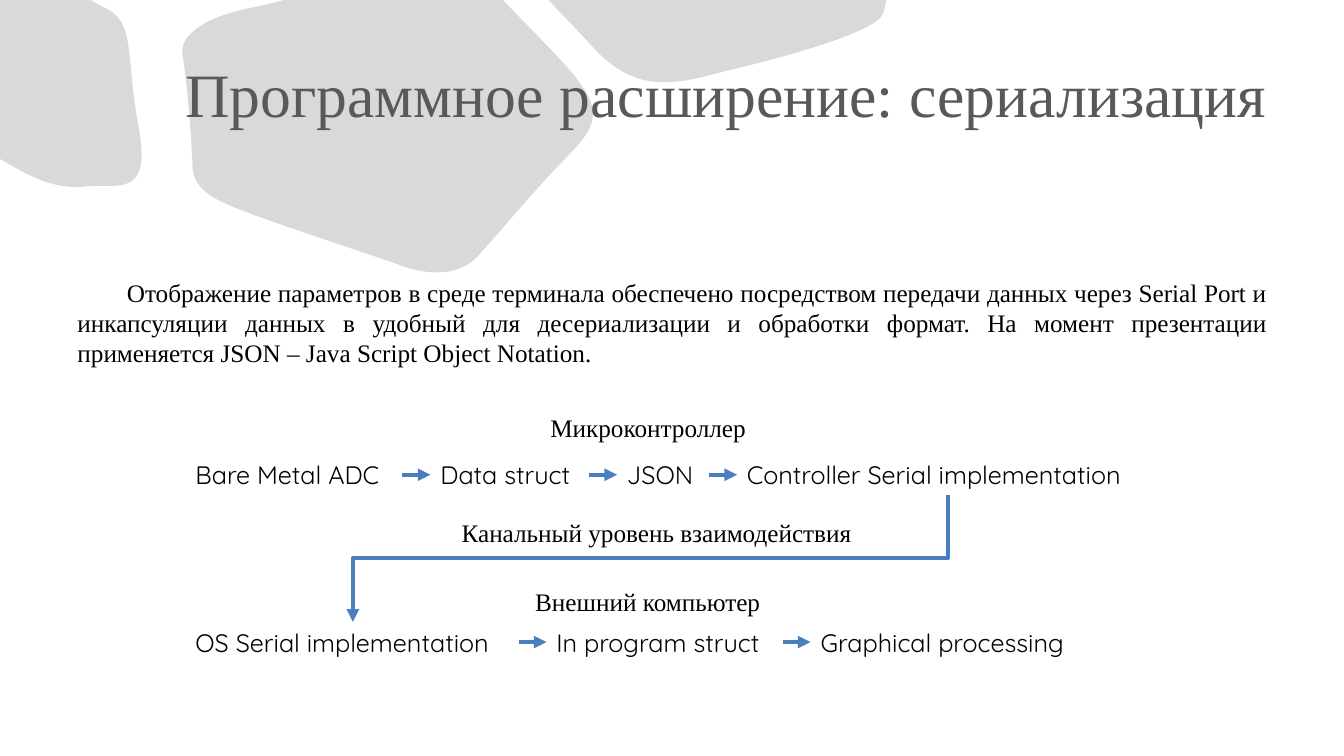
from itertools import pairwise
from lxml import etree
from pptx import Presentation
from pptx import util as u
from pptx.dml.color import RGBColor
from pptx.enum import shapes, text
from pptx.oxml.ns import qn

deck = Presentation()
deck.slide_width, deck.slide_height = u.Inches(13.33), u.Inches(7.5)
slide = deck.slides.add_slide(deck.slide_layouts[6])
hue = RGBColor.from_string


def write(words, x, y, w, h=0.4, font="Times New Roman", size=18, color="000000",
          align=text.PP_ALIGN.LEFT, anchor=text.MSO_ANCHOR.TOP, wrap=False, indent=0):
    box = slide.shapes.add_textbox(*map(u.Inches, (x, y, w, h)))
    frame = box.text_frame
    frame.word_wrap = wrap
    frame.vertical_anchor = anchor
    para = frame.paragraphs[0]
    para.alignment = align
    if indent:
        para._p.get_or_add_pPr().set("indent", str(u.Inches(indent)))
    run = para.add_run()
    run.text = words
    run.font.name, run.font.size = font, u.Pt(size)
    run.font.color.rgb = hue(color)
    return box


def link(kind, x1, y1, x2, y2):
    line = slide.shapes.add_connector(kind, *map(u.Inches, (x1, y1, x2, y2)))
    line.line.color.rgb = hue("4B7EBC")
    line.line.width = u.Pt(3)
    etree.SubElement(line.line._get_or_add_ln(), qn("a:tailEnd"), type="triangle")
    etree.SubElement(line._element.spPr, qn("a:effectLst"))
    return line


stones = [
    [(5.44, 0), (5.57, 0.14, 5.73, 0.3, 5.91, 0.5), (6.37, 0.98, 6.8, 0.8, 7.26, 0.69),
     (7.76, 0.57, 8.7, 0.32, 8.76, 0.13), (8.77, 0.1, 8.78, 0.06, 8.79, 0)],
    [(1.1, 0.11), (1.05, 0.08, 0.98, 0.05, 0.9, 0), (-0.03, 0), (-0.03, 1.56),
     (0.22, 1.7, 0.49, 1.89, 0.86, 1.85), (1.16, 1.82, 1.5, 1.97, 1.38, 1.29),
     (1.25, 0.62, 1.34, 0.27, 1.1, 0.11)],
    [(4.99, 0), (2.82, 0), (2.67, 0.04, 2.52, 0.07, 2.39, 0.1),
     (1.93, 0.21, 1.79, 0.4, 1.81, 0.53), (1.86, 0.86, 1.9, 1.37, 1.91, 1.66),
     (1.92, 1.91, 2.2, 2.01, 2.46, 2.11), (2.69, 2.2, 3.71, 2.54, 3.94, 2.62),
     (3.94, 2.62, 4.45, 2.85, 4.74, 2.54), (5.03, 2.22, 5.35, 1.83, 5.62, 1.56),
     (5.85, 1.32, 5.99, 1.16, 5.77, 0.85), (5.65, 0.66, 5.23, 0.26, 4.99, 0)],
]
for start, *parts in stones:
    dots = [(u.Inches(x), u.Inches(y)) for part in parts for x, y in zip(part[::2], part[1::2])]
    pen = slide.shapes.build_freeform(*map(u.Inches, start))
    pen.add_line_segments(dots, close=True)
    blob = pen.convert_to_shape()
    sides = iter(list(blob._element.iter(qn("a:lnTo"))))
    for part in parts:
        side = next(sides)
        if len(part) == 6:
            side.tag = qn("a:cubicBezTo")
            for _ in range(2):
                extra = next(sides)
                side.append(extra[0])
                extra.getparent().remove(extra)
    blob.shadow.inherit = False
    blob.fill.solid()
    blob.fill.fore_color.rgb = hue("D9D9D9")
    blob.line.fill.background()

write("Программное расширение: сериализация", 0.67, 0.3, 12, 1.25, size=44, color="595959",
      align=text.PP_ALIGN.RIGHT, anchor=text.MSO_ANCHOR.MIDDLE, wrap=True)
write("Отображение параметров в среде терминала обеспечено посредством передачи данных через "
      "Serial Port и инкапсуляции данных в удобный для десериализации и обработки формат. "
      "На момент презентации применяется JSON – Java Script Object Notation. ",
      0.67, 2.7, 12, 1.01, align=text.PP_ALIGN.JUSTIFY, wrap=True, indent=0.49)

flows = [
    (4.51, [("Bare Metal ADC", 1.84, 2.15), ("Data struct", 4.27, 1.57), ("JSON", 6.12, 0.91),
            ("Controller Serial implementation", 7.31, 4.18)]),
    (6.17, [("OS Serial implementation", 1.84, 3.31), ("In program struct", 5.42, 2.35),
            ("Graphical processing", 8.04, 2.85)]),
]
for top, steps in flows:
    boxes = [write(words, x, top, w, font="Quicksand") for words, x, w in steps]
    for left, right in pairwise(boxes):
        arrow = link(shapes.MSO_CONNECTOR.STRAIGHT, 0, 0, 1, 1)
        arrow.begin_connect(left, 3)
        arrow.end_connect(right, 1)

bend = link(shapes.MSO_CONNECTOR.ELBOW, 5.82, 2.59, 7.08, 8.49)
bend._element.spPr.get_or_add_xfrm().rot = 90

for words, x, y, w in [("Канальный уровень взаимодействия", 4.48, 5.08, 4.18),
                       ("Микроконтроллер", 5.36, 4.04, 2.17),
                       ("Внешний компьютер", 5.21, 5.77, 2.48)]:
    write(words, x, y, w)

deck.save("out.pptx")
